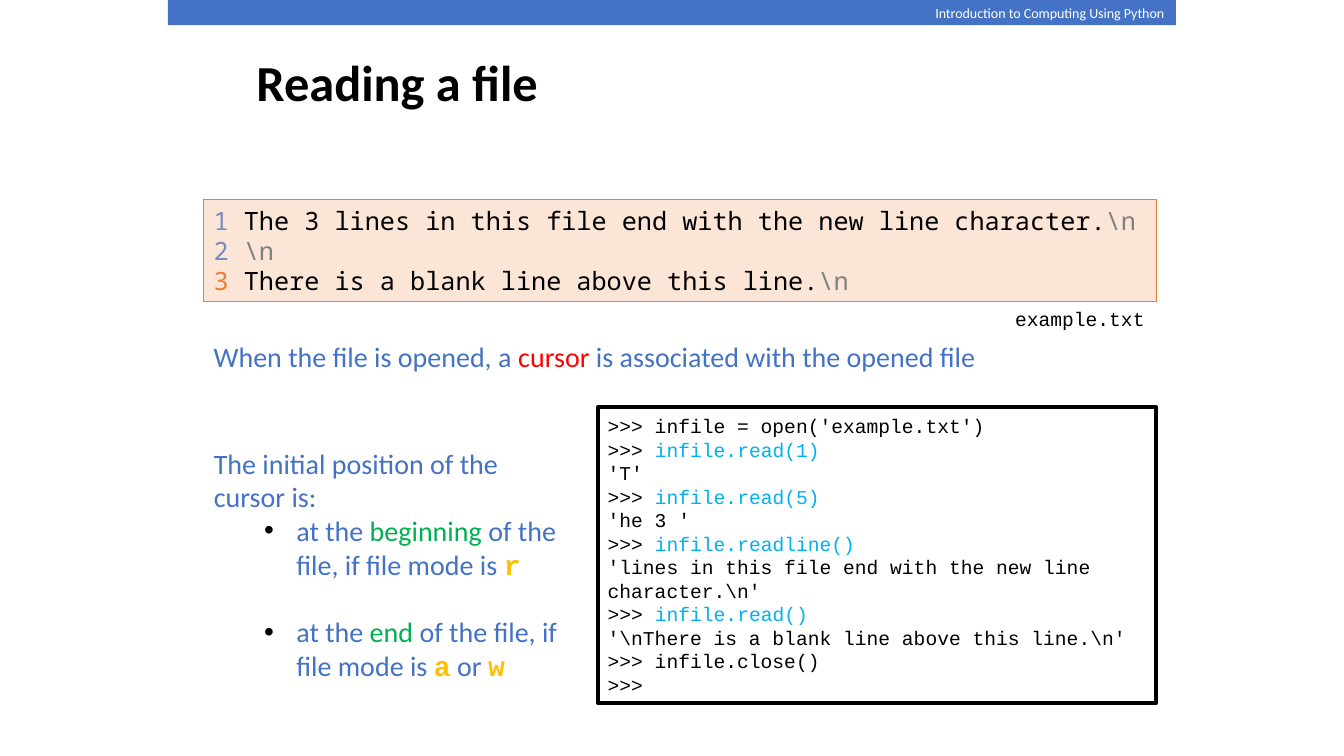
from lxml.etree import SubElement
from pptx import Presentation
from pptx.dml.color import RGBColor as RGB
from pptx.enum.shapes import MSO_SHAPE as SHAPE
from pptx.enum.text import MSO_ANCHOR as ANCHOR, MSO_AUTO_SIZE as AUTO, PP_ALIGN as ALIGN
from pptx.oxml.ns import qn
from pptx.util import Pt

INK = {
    "blue": "4472C4", "white": "FFFFFF", "black": "000000", "peach": "FBE5D6",
    "orange": "ED7D31", "slate": "748CBC", "gray": "808080", "sky": "00B0F0",
    "red": "FF0000", "green": "00B050", "gold": "FFC000",
}
SANS, CODE, MONO = "Calibri", "Courier New", "Noto Sans Mono"

# Each text is a list of paragraphs; each paragraph is a list of (text, colour).
BOOK = [[("Introduction to Computing Using Python", "white")]]
TITLE = [[("Reading a file", "black")]]
FILE = [
    [("1", "slate"),
     (" The 3 lines in this file end with the new line character.", "black"),
     ("\\n", "gray")],
    [("2 ", "slate"), ("\\n", "gray")],
    [("3", "orange"), (" There is a blank line above this line.", "black"),
     ("\\n", "gray")],
]
NAME = [[("example.txt", "black")]]
OPENED = [[("When the file is opened, a ", "blue"), ("cursor ", "red"),
           ("is associated with the opened file", "blue")]]
MODES = [
    [("The initial position of the cursor is:", "blue")],
    [("at the ", "blue"), ("beginning", "green"),
     (" of the file, if file mode is ", "blue"), ("r", "gold")],
    [("at the ", "blue"), ("end", "green"),
     (" of the file, if file mode is ", "blue"), ("a", "gold"),
     (" or ", "blue"), ("w", "gold")],
]
PROMPT = (">>> ", "black")
SHELL = [
    [(">>> infile = open('example.txt')", "black")],
    [PROMPT, ("infile.read(1)", "sky")],
    [("'T'", "black")],
    [PROMPT, ("infile.read(5)", "sky")],
    [("'he 3 '", "black")],
    [PROMPT, ("infile.readline()", "sky")],
    [("'lines in this file end with the new line character.\\n'", "black")],
    [PROMPT, ("infile.read()", "sky")],
    [("'\\nThere is a blank line above this line.\\n'", "black")],
    [(">>> infile.close()", "black")],
    [(">>>", "black")],
]

LEFT, RIGHT = 145.5, 826
WIDE = RIGHT - LEFT
SHELL_X = 427


def rgb(ink):
    return RGB.from_string(INK[ink])


def place(shape, x, y, w, h):
    shape.left, shape.top, shape.width, shape.height = Pt(x), Pt(y), Pt(w), Pt(h)


def write(shape, lines, font, size, bold=False, anchor=ANCHOR.MIDDLE, wrap=True):
    frame = shape.text_frame
    frame.auto_size = AUTO.NONE
    frame.word_wrap = wrap
    frame.vertical_anchor = anchor
    for i, line in enumerate(lines):
        para = frame.add_paragraph() if i else frame.paragraphs[0]
        para.alignment = ALIGN.LEFT
        para.space_before = Pt(0)
        para.font.name, para.font.size, para.font.bold = font, Pt(size), bold
        for text, ink in line:
            run = para.add_run()
            run.text = text
            run.font.color.rgb = rgb(ink)
            if ink == "gold":
                run.font.name, run.font.bold = CODE, True


def add_box(x, y, w, h, fill, line=None, width=0):
    box = slide.shapes.add_shape(SHAPE.RECTANGLE, Pt(x), Pt(y), Pt(w), Pt(h))
    box.shadow.inherit = False
    box.fill.solid()
    box.fill.fore_color.rgb = rgb(fill)
    if line:
        box.line.color.rgb = rgb(line)
        box.line.width = Pt(width)
    else:
        box.line.fill.background()
    return box


def add_text(x, y, w, h):
    return slide.shapes.add_textbox(Pt(x), Pt(y), Pt(w), Pt(h))


def set_bullet(para, char=None, left=0, hang=0):
    """Put the bullet before the paragraph's font, as the schema asks."""
    props = para._p.get_or_add_pPr()
    props.set("marL", str(Pt(left)))
    props.set("indent", str(Pt(-hang)))
    if char:
        color = SubElement(props, qn("a:buClr"))
        SubElement(color, qn("a:srgbClr"), val=INK["black"])
        mark = SubElement(props, qn("a:buChar"), char=char)
    else:
        mark = SubElement(props, qn("a:buNone"))
    font = props.find(qn("a:defRPr"))
    if font is not None:
        mark.addnext(font)


deck = Presentation()
deck.slide_width, deck.slide_height = Pt(960), Pt(540)
slide = deck.slides.add_slide(deck.slide_layouts[1])
title, body = slide.placeholders

add_box(120, 0, 720, 18, "blue")
write(add_text(661, 0, 180, 19.5), BOOK, SANS, 10, anchor=ANCHOR.TOP, wrap=False)

place(title, 176, 0, 612, 116)
write(title, TITLE, SANS, 36, bold=True)

write(add_box(LEFT, 142.5, WIDE, 72.5, "peach", "orange", 0.5), FILE, MONO, 18)
write(add_text(RIGHT - 108, 215.5, 108, 24.5), NAME, CODE, 14, wrap=False)
write(add_text(LEFT, 239, WIDE, 31.5), OPENED, SANS, 20)
write(add_box(SHELL_X, 291, RIGHT - SHELL_X, 211, "white", "black", 3),
      SHELL, CODE, 14)

place(body, LEFT, 314.5, 261.5, 177)
write(body, MODES, SANS, 20)
intro, first, last = body.text_frame.paragraphs
set_bullet(intro)
for item in (first, last):
    item.level = 1
    set_bullet(item, "•", 59, 23)
last.space_before = Pt(24.5)

deck.save("out.pptx")
